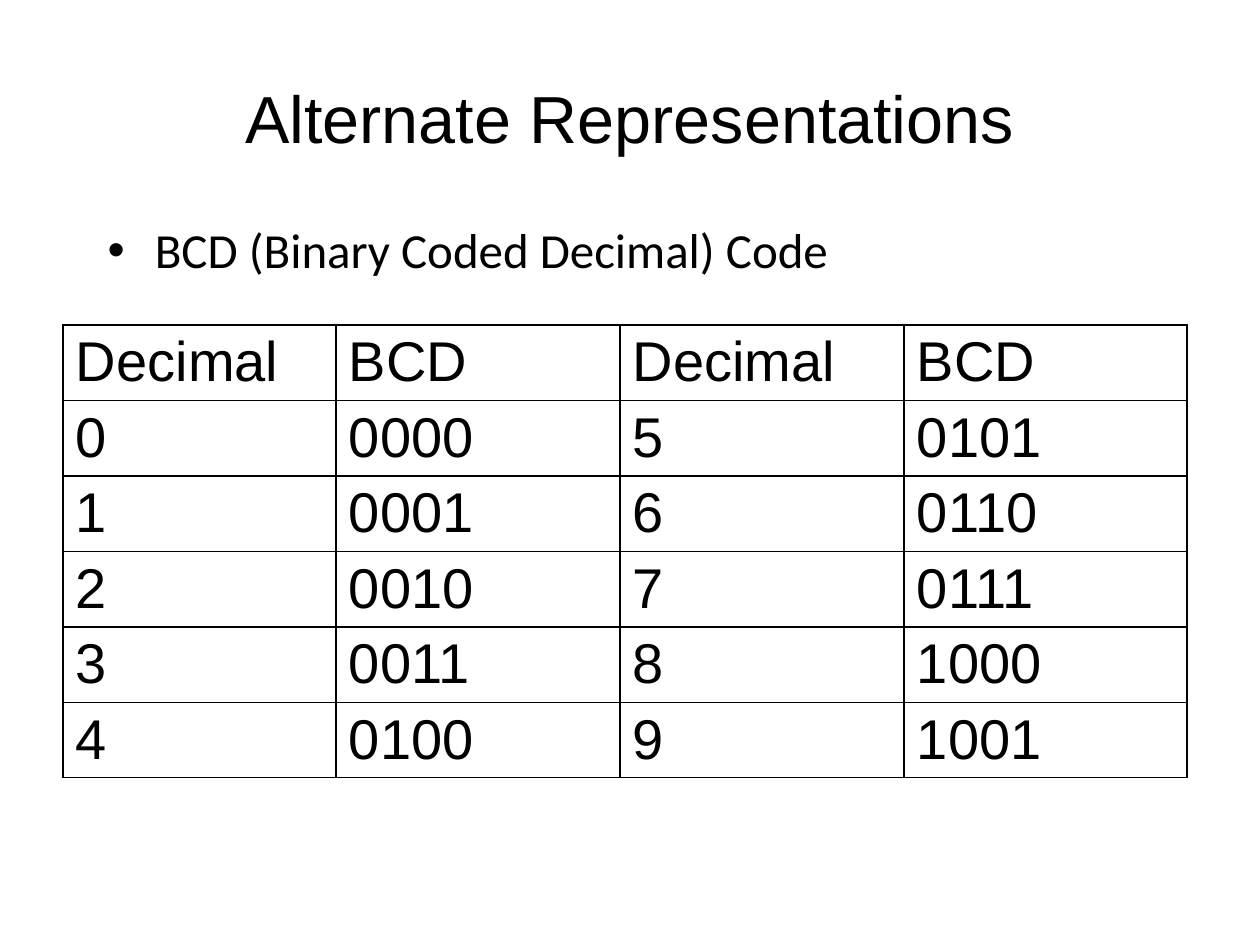
from dataclasses import dataclass

from lxml import etree
from pptx import Presentation
from pptx.dml.color import RGBColor
from pptx.enum.text import MSO_ANCHOR, PP_ALIGN
from pptx.oxml.ns import qn
from pptx.util import Emu, Pt

EMU_PER_INCH = 914400
PX_PER_INCH = 126
BLACK = RGBColor(0x00, 0x00, 0x00)
CENTER = PP_ALIGN.CENTER
LEFT = PP_ALIGN.LEFT
TOP = MSO_ANCHOR.TOP
MIDDLE = MSO_ANCHOR.MIDDLE
BORDER_SIDES = ("a:lnL", "a:lnR", "a:lnT", "a:lnB")
COLUMN_WIDTHS = (273, 284, 284, 283)
HEADINGS = ("Decimal", "BCD", "Decimal", "BCD")
HALF = 5


@dataclass(frozen=True)
class Box:
    left: int
    top: int
    width: int
    height: int


@dataclass(frozen=True)
class TextStyle:
    font: str
    size: int
    align: PP_ALIGN = LEFT
    anchor: MSO_ANCHOR = TOP
    line_spacing: float = 1.0


TITLE_BOX = Box(63, 38, 1134, 157)
BODY_BOX = Box(95, 220, 1071, 624)
TABLE_BOX = Box(63, 325, sum(COLUMN_WIDTHS), 453)
TITLE_STYLE = TextStyle("Arial", 38, CENTER, MIDDLE)
BODY_STYLE = TextStyle("Calibri", 28, line_spacing=0.9)
CELL_STYLE = TextStyle("Arial", 32)


def px(length: int) -> Emu:
    return Emu(round(length * EMU_PER_INCH / PX_PER_INCH))


def style_text(frame, text: str, style: TextStyle) -> None:
    frame.text = text
    para = frame.paragraphs[0]
    para.alignment = style.align
    para.line_spacing = style.line_spacing
    para.font.name = style.font
    para.font.size = Pt(style.size)
    para.font.bold = False
    para.font.color.rgb = BLACK


def fill_placeholder(shape, box: Box, text: str, style: TextStyle) -> None:
    shape.left, shape.top = px(box.left), px(box.top)
    shape.width, shape.height = px(box.width), px(box.height)
    shape.text_frame.vertical_anchor = style.anchor
    style_text(shape.text_frame, text, style)


def add_borders(cell) -> None:
    properties = cell._tc.get_or_add_tcPr()
    for index, side in enumerate(BORDER_SIDES):
        line = etree.Element(qn(side), w=str(Pt(1)))
        fill = etree.SubElement(line, qn("a:solidFill"))
        etree.SubElement(fill, qn("a:srgbClr"), val=str(BLACK))
        properties.insert(index, line)


def add_code_table(slide, box: Box, rows: list[tuple[str, ...]]) -> None:
    frame = slide.shapes.add_table(
        len(rows), len(COLUMN_WIDTHS),
        px(box.left), px(box.top), px(box.width), px(box.height),
    )
    table = frame.table
    table.first_row = False
    table.horz_banding = False
    for column, width in zip(table.columns, COLUMN_WIDTHS):
        column.width = px(width)
    for row, texts in zip(table.rows, rows):
        row.height = Emu(px(box.height) // len(rows))
        for cell, text in zip(row.cells, texts):
            cell.margin_left = cell.margin_right = px(13)
            cell.margin_top, cell.margin_bottom = px(6), px(5)
            cell.vertical_anchor = CELL_STYLE.anchor
            cell.fill.background()
            style_text(cell.text_frame, text, CELL_STYLE)
            add_borders(cell)


def code_rows() -> list[tuple[str, ...]]:
    digits = [
        (str(low), f"{low:04b}", str(low + HALF), f"{low + HALF:04b}")
        for low in range(HALF)
    ]
    return [HEADINGS, *digits]


def main() -> None:
    deck = Presentation()
    deck.slide_width, deck.slide_height = px(1260), px(945)
    slide = deck.slides.add_slide(deck.slide_layouts[1])
    title, body = slide.placeholders
    fill_placeholder(title, TITLE_BOX, "Alternate Representations", TITLE_STYLE)
    fill_placeholder(body, BODY_BOX, "BCD (Binary Coded Decimal) Code", BODY_STYLE)
    add_code_table(slide, TABLE_BOX, code_rows())
    deck.save("out.pptx")


if __name__ == "__main__":
    main()
